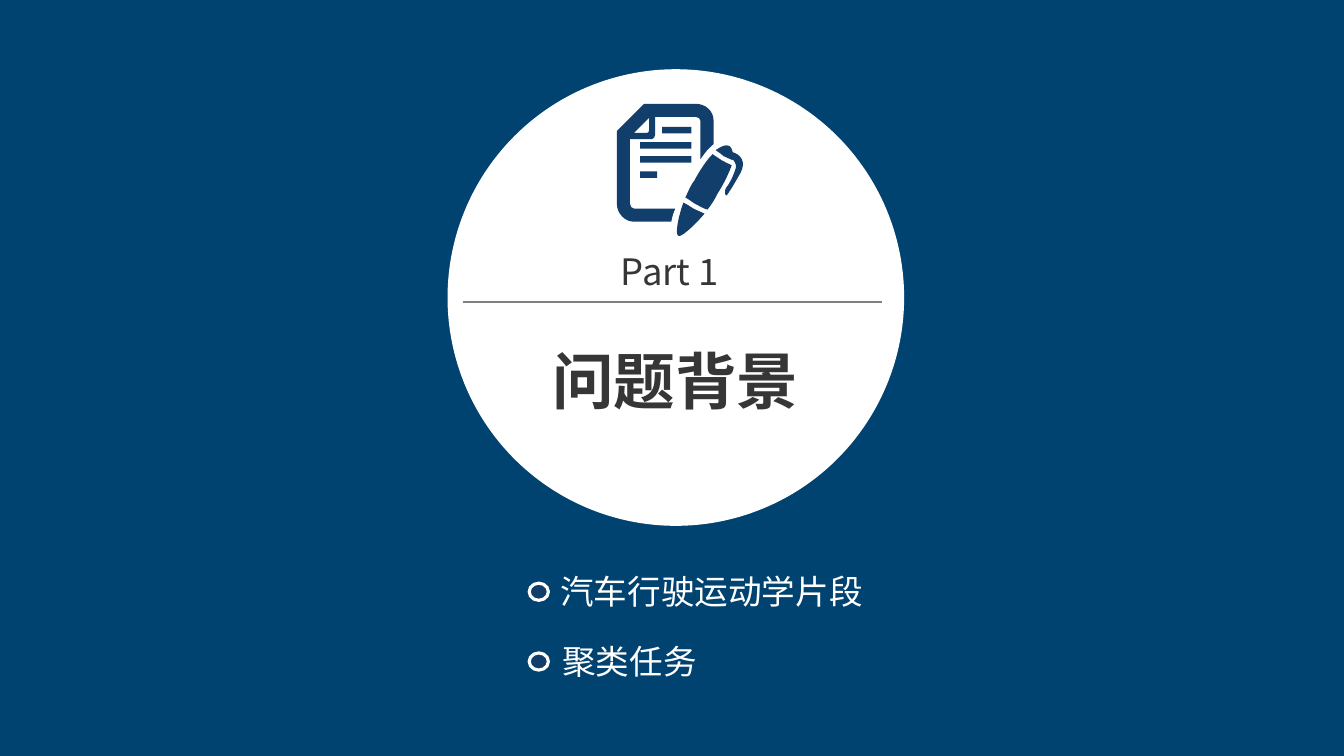
"""Build the section slide that opens part 1, with a white disc, a note icon and two topics."""
from dataclasses import dataclass

from lxml.etree import Element, SubElement
from pptx import Presentation
from pptx.dml.color import RGBColor
from pptx.enum.shapes import MSO_CONNECTOR, MSO_SHAPE
from pptx.enum.text import MSO_AUTO_SIZE, PP_ALIGN
from pptx.oxml.ns import qn
from pptx.shapes.autoshape import Shape
from pptx.slide import Slide
from pptx.util import Inches, Pt

CELL = Inches(0.01)
COLUMNS, ROWS = 4000 / 3, 750
FONT = "Noto Sans CJK SC"
TEAL = RGBColor(0x00, 0x9E, 0xB0)
VEIL = RGBColor(0x00, 0x33, 0x66)
NAVY = RGBColor(0x11, 0x3E, 0x6A)
CHARCOAL = RGBColor(0x36, 0x36, 0x36)
GREY = RGBColor(0x80, 0x80, 0x80)
WHITE = RGBColor(0xFF, 0xFF, 0xFF)
VEIL_OPACITY = 0.86

Contour = list[tuple[float, ...]]


@dataclass(frozen=True)
class Area:
    """A rectangle in grid cells."""

    column: float
    row: float
    columns: float
    rows: float

    def lengths(self) -> tuple[int, ...]:
        """Return left, top, width and height in slide units."""
        return tuple(round(n * CELL) for n in (self.column, self.row, self.columns, self.rows))


@dataclass(frozen=True)
class Label:
    """A line of text and its look."""

    text: str
    area: Area
    size: int
    color: RGBColor
    bold: bool = False
    align: PP_ALIGN = PP_ALIGN.LEFT
    tight: bool = False


def bar(row: float, left: float, right: float) -> Contour:
    """Return the outline of one written line on the sheet."""
    return [(left, row), (right, row), (right, row + 6.5), (left, row + 6.5), (left, row)]


SHEET: Contour = [
    (639, 103), (690, 103), (700, 103, 708, 110, 708, 120), (708, 143),
    (702, 148, 699, 152, 695, 158), (695, 120), (695, 118, 693, 116, 690, 116),
    (650, 116), (650, 134), (650, 136, 648, 138, 647, 138), (625, 138), (625, 202),
    (625, 205, 627, 207, 629, 207), (670, 207), (668, 211, 667, 215, 666, 220),
    (629, 220), (620, 220, 612, 212, 612, 202), (612, 130), (639, 103),
]
FOLD: Contour = [
    (629, 132), (642, 132), (643, 132, 644, 131, 644, 129), (644, 117), (629, 132),
]
PEN_CLIP: Contour = [
    (724, 145), (725, 147, 727, 148, 727, 151), (730, 152, 734, 154, 736, 158),
    (738, 162, 737, 167, 735, 171), (731, 178, 726, 187, 721, 194),
    (719, 195, 719, 189, 720, 187), (724, 182, 727, 176, 730, 167),
    (731, 162, 728, 160, 727, 158), (727, 158, 727, 158, 727, 159),
    (724, 158, 721, 156, 718, 155), (716, 153, 713, 151, 710, 149),
    (716, 145, 720, 143, 724, 145),
]
PEN_BARREL: Contour = [
    (726, 164), (723, 172, 719, 181, 712, 192), (709, 198, 706, 203, 702, 208),
    (698, 207, 695, 205, 691, 203), (687, 201, 684, 198, 680, 196),
    (683, 190, 685, 184, 689, 179), (695, 168, 701, 159, 707, 153),
    (710, 155, 713, 157, 716, 159), (719, 161, 722, 162, 726, 164),
]
PEN_TIP: Contour = [
    (699, 212), (687, 226, 675, 236, 673, 234), (670, 233, 672, 218, 678, 201),
    (682, 203, 685, 205, 688, 207), (692, 209, 695, 210, 699, 212),
]
WRITING = [bar(126, 657, 686), bar(170, 635, 652), bar(155, 635, 686), bar(141, 635, 686)]
NOTE_ICON = [SHEET, PEN_CLIP, PEN_BARREL, PEN_TIP, *WRITING, FOLD]

DISC = Area(444, 68.7, 453, 453)
TOPICS = [("汽车行驶运动学片段", 546), ("聚类任务", 548)]
TOPIC_ROW, TOPIC_PITCH = 561.6, 69.2
HEADINGS = [
    Label("问题背景", Area(497, 335.6, 346, 84), 44, CHARCOAL, bold=True, align=PP_ALIGN.CENTER),
    Label("Part 1", Area(616, 247, 102, 44), 26, CHARCOAL, tight=True),
]


def add_plain(page: Slide, kind: MSO_SHAPE, area: Area, fill: RGBColor) -> Shape:
    """Add a preset shape with a plain fill."""
    shape = page.shapes.add_shape(kind, *area.lengths())
    paint(shape, fill)
    return shape


def paint(shape: Shape, fill: RGBColor) -> None:
    """Give a shape a plain fill without line or shadow."""
    shape.shadow.inherit = False
    shape.fill.solid()
    shape.fill.fore_color.rgb = fill
    shape.line.fill.background()


def add_veil(page: Slide) -> None:
    """Cover the page with a see-through navy layer."""
    veil = add_plain(page, MSO_SHAPE.RECTANGLE, Area(0, 0, COLUMNS, ROWS), VEIL)
    tint = veil._element.spPr.find(qn("a:solidFill")).find(qn("a:srgbClr"))
    SubElement(tint, qn("a:alpha"), val=str(round(VEIL_OPACITY * 100000)))


def points_of(step: tuple[float, ...]) -> list[tuple[int, int]]:
    """Return the points of one corner or curve in slide units."""
    return [(round(x * CELL), round(y * CELL)) for x, y in zip(step[::2], step[1::2])]


def add_icon(page: Slide, contours: list[Contour]) -> None:
    """Add one outline of several contours, where six numbers make a cubic curve."""
    builder = page.shapes.build_freeform(*points_of(contours[0][0])[0])
    for index, (start, *steps) in enumerate(contours):
        if index:
            builder.move_to(*points_of(start)[0])
        builder.add_line_segments([point for step in steps for point in points_of(step)])
    icon = builder.convert_to_shape()
    paint(icon, NAVY)
    outline = next(icon._element.iter(qn("a:path")))
    nodes = iter(list(outline))
    for _, *steps in contours:
        next(nodes)
        for step in steps:
            corners = [next(nodes) for _ in points_of(step)]
            if len(corners) == 3:
                curve = Element(qn("a:cubicBezTo"))
                corners[0].addprevious(curve)
                for corner in corners:
                    curve.append(corner[0])
                    outline.remove(corner)
        next(nodes)


def add_divider(page: Slide, left: float, right: float, row: float) -> None:
    """Add the thin line below the part number."""
    start, end, level = (round(n * CELL) for n in (left, right, row))
    divider = page.shapes.add_connector(MSO_CONNECTOR.STRAIGHT, start, level, end, level)
    divider.line.color.rgb = GREY
    divider.line.width = Pt(1)
    SubElement(divider._element.spPr, qn("a:effectLst"))


def add_label(page: Slide, label: Label) -> None:
    """Add a text box with one paragraph."""
    box = page.shapes.add_textbox(*label.area.lengths())
    frame = box.text_frame
    frame.word_wrap = not label.tight
    frame.auto_size = MSO_AUTO_SIZE.SHAPE_TO_FIT_TEXT
    if label.tight:
        frame.margin_left = frame.margin_right = frame.margin_top = frame.margin_bottom = 0
    para = frame.paragraphs[0]
    para.text = label.text
    para.alignment = label.align
    para.font.name = FONT
    para.font.size = Pt(label.size)
    para.font.bold = label.bold
    para.font.color.rgb = label.color
    SubElement(para._p.pPr.find(qn("a:defRPr")), qn("a:ea"), typeface=FONT)


def main() -> None:
    """Build and save the deck."""
    deck = Presentation()
    deck.slide_width, deck.slide_height = round(COLUMNS * CELL), ROWS * CELL
    page = deck.slides.add_slide(deck.slide_layouts[6])
    page.background.fill.solid()
    page.background.fill.fore_color.rgb = TEAL
    add_veil(page)
    add_plain(page, MSO_SHAPE.OVAL, DISC, WHITE)
    add_icon(page, NOTE_ICON)
    add_divider(page, 459, 875, 299.6)
    for heading in HEADINGS:
        add_label(page, heading)
    for index, (text, column) in enumerate(TOPICS):
        row = TOPIC_ROW + index * TOPIC_PITCH
        ring = add_plain(page, MSO_SHAPE.OVAL, Area(525, row + 17, 19, 17), NAVY)
        ring.line.color.rgb = WHITE
        ring.line.width = Pt(2.25)
        add_label(page, Label(text, Area(column, row, 342, 50), 24, WHITE))
    deck.save("out.pptx")


if __name__ == "__main__":
    main()
